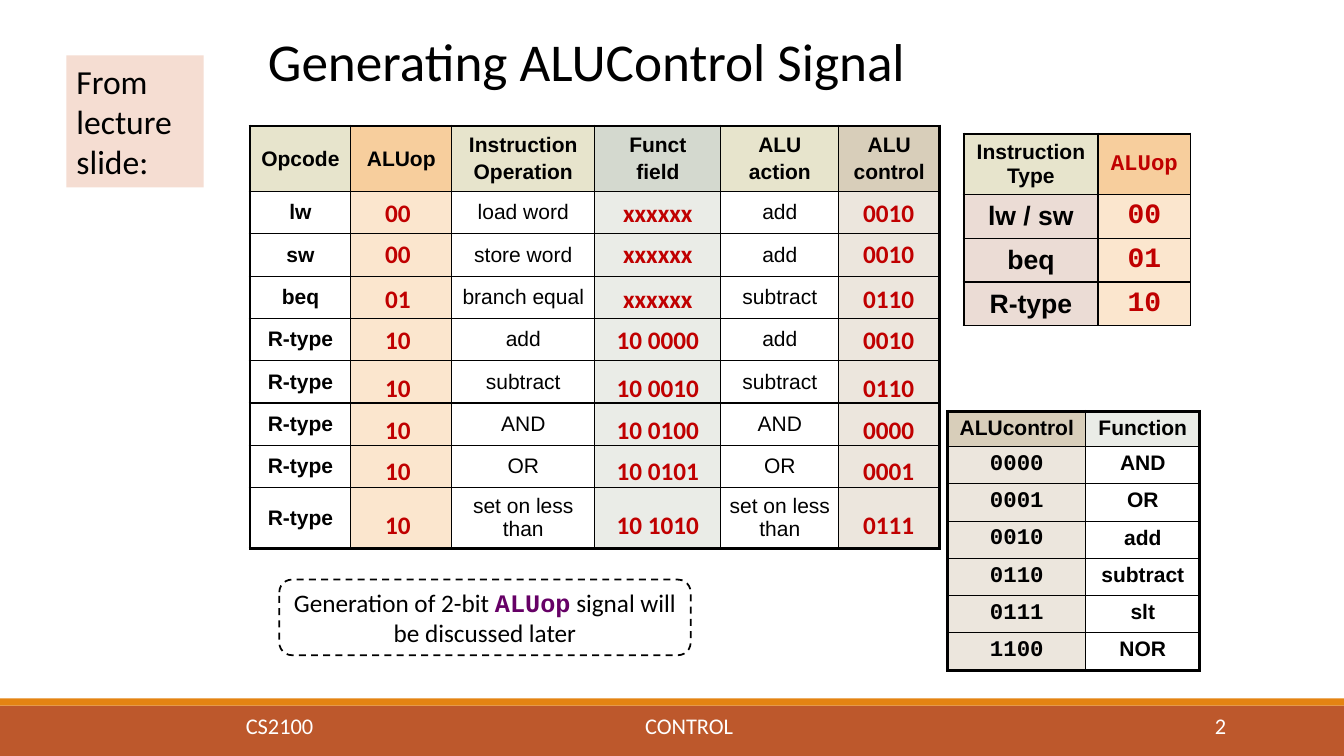
import dataclasses
import lxml.etree
import pptx
import pptx.dml.color
import pptx.enum.dml
import pptx.enum.shapes
import pptx.enum.text
import pptx.oxml.ns
import pptx.util

Inches, Pt = pptx.util.Inches, pptx.util.Pt
Align, Anchor = pptx.enum.text.PP_ALIGN, pptx.enum.text.MSO_ANCHOR
Shape = pptx.enum.shapes.MSO_SHAPE
color = pptx.dml.color.RGBColor.from_string


@dataclasses.dataclass(frozen=True)
class Theme:
    body: str = "Calibri"
    table: str = "Arial"
    code: str = "Courier New"
    black: str = "000000"
    white: str = "FFFFFF"
    red: str = "C00000"
    purple: str = "660066"
    footer: str = "BD582C"
    stripe: str = "E48312"
    note: str = "F5DDD2"
    olive: str = "E7E4CC"
    orange: str = "F7CE9D"
    pale_orange: str = "FBE6CE"
    sage: str = "D4D9CF"
    pale_sage: str = "EAECE7"
    tan: str = "D8CEBA"
    pale_tan: str = "ECE6DD"
    rose: str = "EBDCD5"
    title_size: int = 38
    note_size: int = 24
    signal_size: int = 20
    type_size: int = 19
    text_size: int = 18
    code_size: int = 16
    cell_size: int = 15


theme = Theme()


def write(frame, text, size, font=theme.body, ink=theme.black, bold=False,
          align=Align.CENTER, anchor=Anchor.TOP):
    """Fill a text frame or table cell, one paragraph per line of text."""
    frame.word_wrap = True
    frame.vertical_anchor = anchor
    for index, line in enumerate(text.split("\n")):
        paragraph = frame.add_paragraph() if index else frame.paragraphs[0]
        paragraph.text = line
        paragraph.alignment = align
        if index:
            paragraph.space_before = Pt(size * 0.2)
        paragraph.font.name = font
        paragraph.font.size = Pt(size)
        paragraph.font.bold = bold
        paragraph.font.color.rgb = color(ink)


def build_table(left, top, widths, heights, rows, column_styles, anchor, thick_sides):
    """Each column style is (header, body), each of them (fill, size, font, ink, bold)."""
    table = slide.shapes.add_table(
        len(heights), len(widths), Inches(left), Inches(top),
        Inches(sum(widths)), Inches(sum(heights))).table
    table.first_row = table.horz_banding = False
    for column, width in zip(table.columns, widths):
        column.width = Inches(width)
    for row, height in zip(table.rows, heights):
        row.height = Inches(height)
    for r, row in enumerate(rows):
        for c, text in enumerate(row):
            cell = table.cell(r, c)
            cell.margin_left = cell.margin_right = Inches(0.08)
            edges = {"L": c == 0, "R": c == len(widths) - 1,
                     "T": r == 0, "B": r == len(heights) - 1}
            properties = cell._tc.get_or_add_tcPr()
            for side, outer in edges.items():
                width = Pt(2.25 if outer and side in thick_sides else 1)
                border = lxml.etree.SubElement(
                    properties, pptx.oxml.ns.qn("a:ln" + side), w=str(width))
                fill = lxml.etree.SubElement(border, pptx.oxml.ns.qn("a:solidFill"))
                lxml.etree.SubElement(fill, pptx.oxml.ns.qn("a:srgbClr"), val=theme.black)
            shade, size, font, ink, bold = column_styles[c][min(r, 1)]
            cell.fill.solid()
            cell.fill.fore_color.rgb = color(shade)
            cell.vertical_anchor = anchor
            if text:
                write(cell.text_frame, text, size, font, ink, bold, anchor=anchor)


presentation = pptx.Presentation()
presentation.slide_width = Inches(13.33)
presentation.slide_height = Inches(7.5)
slide = presentation.slides.add_slide(presentation.slide_layouts[6])

# Footer bars, lecture note and dashed remark
panels = {}
for name, kind, box, shade in [
    ("footer", Shape.RECTANGLE, (0, 7, 13.33, 0.5), theme.footer),
    ("stripe", Shape.RECTANGLE, (0, 6.93, 13.33, 0.07), theme.stripe),
    ("note", Shape.RECTANGLE, (0.66, 0.55, 1.36, 1.31), theme.note),
    ("remark", Shape.ROUNDED_RECTANGLE, (2.77, 5.75, 4.08, 0.75), theme.white),
]:
    shape = slide.shapes.add_shape(kind, *map(Inches, box))
    shape.shadow.inherit = False
    shape.fill.solid()
    shape.fill.fore_color.rgb = color(shade)
    shape.line.fill.background()
    panels[name] = shape

write(panels["note"].text_frame, "From lecture slide:", theme.note_size, align=Align.LEFT)

remark = panels["remark"]
remark.line.color.rgb = color(theme.black)
remark.line.width = Pt(1.25)
remark.line.dash_style = pptx.enum.dml.MSO_LINE.DASH
write(remark.text_frame, "Generation of 2-bit ", theme.text_size, anchor=Anchor.MIDDLE)
paragraph = remark.text_frame.paragraphs[0]
signal = paragraph.add_run()
signal.text = "ALUop"
signal.font.name = theme.code
signal.font.bold = True
signal.font.color.rgb = color(theme.purple)
paragraph.add_run().text = " signal will be discussed later"

# Title and footer texts
for text, box, size, ink, align, anchor in [
    ("Generating ALUControl Signal", (2.56, 0.3, 9, 1.03),
     theme.title_size, theme.black, Align.LEFT, Anchor.TOP),
    ("CS2100", (2.34, 6.95, 2.33, 0.5),
     theme.code_size, theme.white, Align.LEFT, Anchor.MIDDLE),
    ("CONTROL", (5.25, 6.95, 3.17, 0.5),
     theme.code_size, theme.white, Align.CENTER, Anchor.MIDDLE),
    ("2", (10.83, 7, 1.43, 0.4),
     theme.code_size, theme.white, Align.RIGHT, Anchor.MIDDLE),
]:
    textbox = slide.shapes.add_textbox(*map(Inches, box))
    write(textbox.text_frame, text, size, ink=ink, align=align, anchor=anchor)
    if size == theme.title_size:
        textbox.text_frame.paragraphs[0].line_spacing = 0.9

# Main table: its signal columns stay empty for the red values
bold_cell = (theme.cell_size, theme.table, theme.black, True)
plain_cell = (theme.cell_size, theme.table, theme.black, False)
instructions = [
    ("lw", "load word", "add"), ("sw", "store word", "add"),
    ("beq", "branch equal", "subtract"), ("R-type", "add", "add"),
    ("R-type", "subtract", "subtract"), ("R-type", "AND", "AND"),
    ("R-type", "OR", "OR"), ("R-type", "set on less than", "set on less than"),
]
header = ["Opcode", "ALUop", "Instruction\nOperation", "Funct\nfield",
          "ALU\naction", "ALU\ncontrol"]
main_fills = [(theme.olive, theme.white), (theme.orange, theme.pale_orange),
              (theme.olive, theme.white), (theme.sage, theme.pale_sage),
              (theme.olive, theme.white), (theme.tan, theme.pale_tan)]
build_table(
    2.48, 1.25, [1, 1, 1.42, 1.25, 1.17, 1], [0.65] + [0.42] * 7 + [0.6],
    [header] + [[opcode, "", operation, "", action, ""]
                for opcode, operation, action in instructions],
    [((head, *bold_cell), (body, *(plain_cell if c else bold_cell)))
     for c, (head, body) in enumerate(main_fills)],
    Anchor.MIDDLE, "LRTB")

# Function table
functions = [("0000", "AND"), ("0001", "OR"), ("0010", "add"),
             ("0110", "subtract"), ("0111", "slt"), ("1100", "NOR")]
build_table(
    9.4, 4.08, [1.37, 1.13], [0.34] + [0.37] * 6,
    [("ALUcontrol", "Function")] + functions,
    [((theme.tan, *bold_cell),
      (theme.pale_tan, theme.code_size, theme.code, theme.black, True)),
     ((theme.pale_sage, *bold_cell), (theme.white, *bold_cell))],
    Anchor.TOP, "LRTB")

# Instruction type table
build_table(
    9.56, 1.33, [1.33, 0.92], [0.59] + [0.43] * 3,
    [("Instruction Type", "ALUop"), ("lw / sw", "00"), ("beq", "01"), ("R-type", "10")],
    [((theme.olive, *bold_cell),
      (theme.rose, theme.type_size, theme.table, theme.black, True)),
     ((theme.orange, theme.code_size, theme.code, theme.red, True),
      (theme.pale_orange, theme.signal_size, theme.code, theme.red, True))],
    Anchor.MIDDLE, "LT")

# Red signal values over the main table, one group per column
value_tops = [1.91, 2.32, 2.76, 3.17, 3.64, 4.06, 4.47, 5]
for left, width, values in [
    (3.57, 0.75, ["00", "00", "01"] + ["10"] * 5),
    (5.9, 1.25, ["xxxxxx"] * 3 + ["10 0000", "10 0010", "10 0100", "10 0101", "10 1010"]),
    (8.4, 0.83, ["0010", "0010", "0110", "0010", "0110", "0000", "0001", "0111"]),
]:
    group = slide.shapes.add_group_shape()
    for top, value in zip(value_tops, values):
        textbox = group.shapes.add_textbox(
            Inches(left), Inches(top), Inches(width), Inches(0.4))
        write(textbox.text_frame, value, theme.text_size, ink=theme.red, bold=True)

presentation.save("out.pptx")
